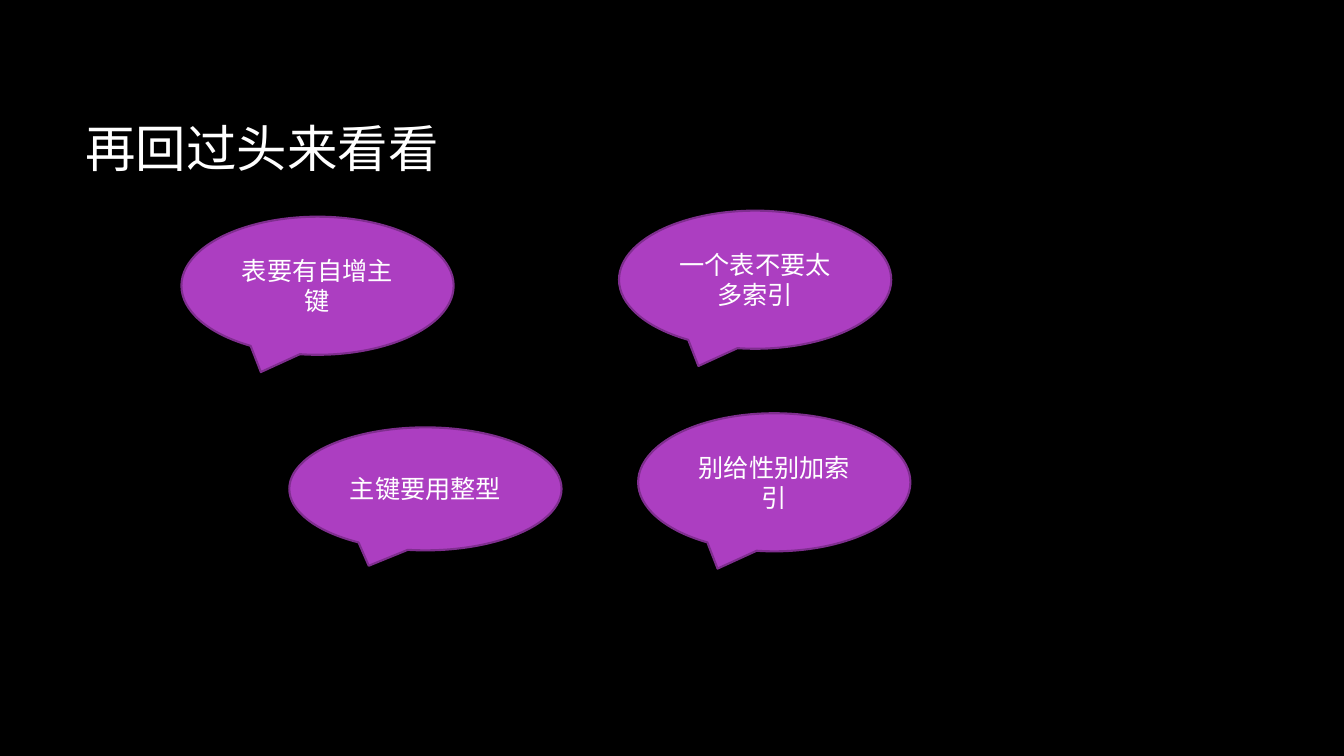
from pptx import Presentation
from pptx.dml.color import RGBColor
from pptx.enum.shapes import MSO_SHAPE
from pptx.enum.text import MSO_ANCHOR, PP_ALIGN
from pptx.util import Emu, Pt

CALLOUT = MSO_SHAPE.OVAL_CALLOUT
MIDDLE = MSO_ANCHOR.MIDDLE
LEFT, CENTER = PP_ALIGN.LEFT, PP_ALIGN.CENTER
EMU_PER_PX = 9144


def px(*lengths):
    return [Emu(n * EMU_PER_PX) for n in lengths]


def rgb(color):
    return RGBColor.from_string(color)


class Deck:
    """Holds the style and the current slide, and adds elements to it."""

    font = "Calibri"
    background = "000000"
    text_color = "FFFFFF"
    fill = "AC3EC1"
    outline = "7F2E8F"

    def __init__(self, width, height):
        self.prs = Presentation()
        self.prs.slide_width, self.prs.slide_height = px(width, height)

    def add_slide(self):
        self.s = self.prs.slides.add_slide(self.prs.slide_layouts[6])
        bg = self.s.background.fill
        bg.solid()
        bg.fore_color.rgb = rgb(self.background)

    def set_text(self, sp, text, size, align):
        tf = sp.text_frame
        tf.text = text
        tf.word_wrap = True
        tf.vertical_anchor = MIDDLE
        p = tf.paragraphs[0]
        p.alignment = align
        r = p.runs[0]
        r.font.name = self.font
        r.font.size = Pt(size)
        r.font.color.rgb = rgb(self.text_color)

    def title(self, text, x, y, w, h):
        sp = self.s.shapes.add_textbox(*px(x, y, w, h))
        self.set_text(sp, text, 36, LEFT)

    def callout(self, text, x, y, w, h):
        sp = self.s.shapes.add_shape(CALLOUT, *px(x, y, w, h))
        sp.shadow.inherit = False
        sp.fill.solid()
        sp.fill.fore_color.rgb = rgb(self.fill)
        sp.line.color.rgb = rgb(self.outline)
        sp.line.width = Pt(1.5)
        self.set_text(sp, text, 18, CENTER)


def main():
    deck = Deck(1333, 750)
    deck.add_slide()
    deck.title("再回过头来看看", 75, 67, 1108, 159)
    tips = [
        ("表要有自增主键", 180, 215, 137),
        ("别给性别加索引", 633, 410, 137),
        ("一个表不要太多索引", 614, 209, 137),
        ("主键要用整型", 287, 424, 122),
    ]
    for text, x, y, h in tips:
        deck.callout(text, x, y, 270, h)
    deck.prs.save("out.pptx")


if __name__ == "__main__":
    main()
